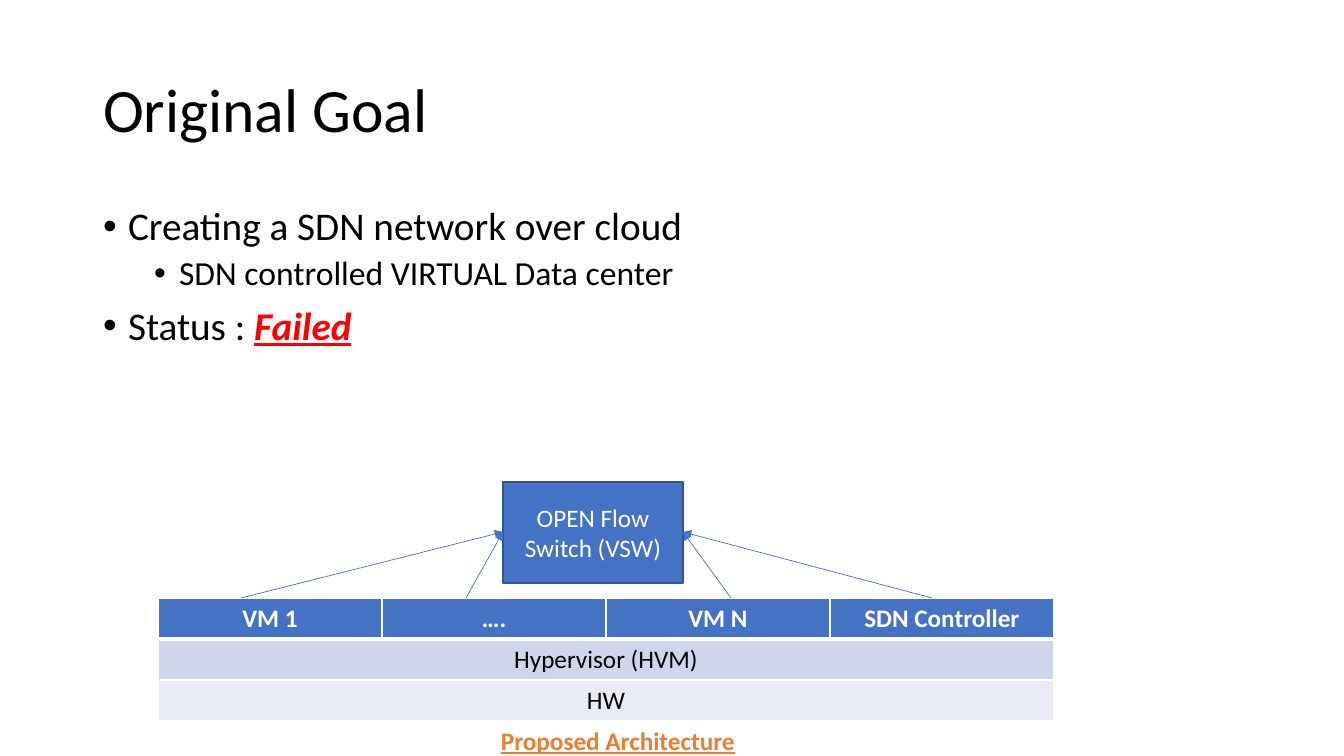
"""Build the Original Goal slide with its proposed SDN architecture."""
from lxml import etree
from pptx import Presentation
from pptx.dml.color import RGBColor
from pptx.enum.shapes import MSO_CONNECTOR, MSO_SHAPE
from pptx.enum.text import MSO_ANCHOR, MSO_AUTO_SIZE, PP_ALIGN
from pptx.oxml.ns import qn
from pptx.util import Emu, Pt

STRAIGHT = MSO_CONNECTOR.STRAIGHT
RECTANGLE = MSO_SHAPE.RECTANGLE
MIDDLE, TOP = MSO_ANCHOR.MIDDLE, MSO_ANCHOR.TOP
LEFT, CENTER = PP_ALIGN.LEFT, PP_ALIGN.CENTER
NO_AUTOFIT = MSO_AUTO_SIZE.NONE

FONT = "Calibri"
EMU_PER_PIXEL = 914400 / 100.8
COLORS = {
    "text": "000000", "white": "FFFFFF", "failed": "FF0000", "blue": "4472C4",
    "outline": "325491", "hypervisor": "CFD5EA", "hardware": "E9EBF5", "caption": "ED7D31",
}

TITLE = "Original Goal"
BULLETS = [
    (0, [("Creating a SDN network over cloud", {})]),
    (1, [("SDN controlled VIRTUAL Data center", {})]),
    (0, [("Status : ", {}),
         ("Failed", {"color": "failed", "bold": True, "italic": True, "underline": True})]),
]
LEVELS = [
    {"size": 28, "before": 10, "margin": 25},
    {"size": 24, "before": 5, "margin": 76},
]
HANGING = 25
MACHINES = ["VM 1", "….", "VM N", "SDN Controller"]
LAYERS = [("Hypervisor (HVM)", "hypervisor"), ("HW", "hardware")]
SWITCH = "OPEN Flow Switch (VSW)"
CAPTION = "Proposed Architecture"

TITLE_BOX = (93, 40, 1159, 146)
BODY_BOX = (93, 202, 1159, 480)
TABLE_LEFT, TABLE_TOP, COLUMN_WIDTH, ROW_HEIGHT = 158, 598, 224, 41
SWITCH_BOX = (503, 482, 180, 101)
CAPTION_BOX = (491, 720, 423, 40)
LINK_STARTS = [241, 466, 731, 932]
LINK_END_TOP = 532


def px(value):
    return Emu(round(value * EMU_PER_PIXEL))


def box(values):
    return [px(value) for value in values]


def rgb(name):
    return RGBColor.from_string(COLORS[name])


def place(shape, values):
    shape.left, shape.top, shape.width, shape.height = box(values)


def add_run(paragraph, text, size, color="text", bold=False, italic=False, underline=False):
    run = paragraph.add_run()
    run.text = text
    font = run.font
    font.name, font.size = FONT, Pt(size)
    font.bold, font.italic, font.underline = bold, italic, underline
    font.color.rgb = rgb(color)


def format_bullet(paragraph, level):
    style = LEVELS[level]
    paragraph.level = level
    paragraph.line_spacing = 0.9
    paragraph.space_before = Pt(style["before"])
    properties = paragraph._p.get_or_add_pPr()
    properties.set("marL", str(px(style["margin"])))
    properties.set("indent", str(-px(HANGING)))
    etree.SubElement(properties, qn("a:buFont"), typeface="Arial")
    etree.SubElement(properties, qn("a:buChar"), char="•")


def fill_cell(cell, text, fill, color, bold, bottom_width):
    paragraph = cell.text_frame.paragraphs[0]
    paragraph.alignment = CENTER
    add_run(paragraph, text, 18, color, bold)
    properties = cell._tc.get_or_add_tcPr()
    for side, width in zip("LRTB", (1, 1, 1, bottom_width)):
        border = etree.SubElement(properties, qn(f"a:ln{side}"), w=str(Pt(width)))
        solid = etree.SubElement(border, qn("a:solidFill"))
        etree.SubElement(solid, qn("a:srgbClr"), val=COLORS["white"])
    cell.fill.solid()
    cell.fill.fore_color.rgb = rgb(fill)


def add_link(slide, start, end):
    link = slide.shapes.add_connector(STRAIGHT, *box(start + end))
    link.line.color.rgb = rgb("blue")
    link.line.width = Pt(0.5)
    etree.SubElement(link.line._get_or_add_ln(), qn("a:tailEnd"), type="triangle")
    etree.SubElement(link._element.spPr, qn("a:effectLst"))


presentation = Presentation()
presentation.slide_width, presentation.slide_height = px(1344), px(756)
slide = presentation.slides.add_slide(presentation.slide_layouts[1])

title, body = slide.placeholders
for placeholder, bounds, anchor in ((title, TITLE_BOX, MIDDLE), (body, BODY_BOX, TOP)):
    place(placeholder, bounds)
    placeholder.text_frame.auto_size = NO_AUTOFIT
    placeholder.text_frame.vertical_anchor = anchor

paragraph = title.text_frame.paragraphs[0]
paragraph.alignment = LEFT
paragraph.line_spacing = 0.9
add_run(paragraph, TITLE, 44)

for index, (level, runs) in enumerate(BULLETS):
    frame = body.text_frame
    paragraph = frame.add_paragraph() if index else frame.paragraphs[0]
    format_bullet(paragraph, level)
    for text, style in runs:
        add_run(paragraph, text, LEVELS[level]["size"], **style)

column_count, row_count = len(MACHINES), len(LAYERS) + 1
table_box = (TABLE_LEFT, TABLE_TOP, COLUMN_WIDTH * column_count, ROW_HEIGHT * row_count)
table = slide.shapes.add_table(row_count, column_count, *box(table_box)).table
for column in table.columns:
    column.width = px(COLUMN_WIDTH)
for row in table.rows:
    row.height = px(ROW_HEIGHT)
for index, machine in enumerate(MACHINES):
    fill_cell(table.cell(0, index), machine, "blue", "white", True, 3)
for row, (layer, fill) in enumerate(LAYERS, 1):
    table.cell(row, 0).merge(table.cell(row, column_count - 1))
    fill_cell(table.cell(row, 0), layer, fill, "text", False, 1)

switch = slide.shapes.add_shape(RECTANGLE, *box(SWITCH_BOX))
switch.shadow.inherit = False
switch.fill.solid()
switch.fill.fore_color.rgb = rgb("blue")
switch.line.color.rgb = rgb("outline")
switch.line.width = Pt(1)
switch.text_frame.word_wrap = True
switch.text_frame.vertical_anchor = MIDDLE
paragraph = switch.text_frame.paragraphs[0]
paragraph.alignment = CENTER
add_run(paragraph, SWITCH, 18, "white")

switch_left, switch_right = SWITCH_BOX[0], SWITCH_BOX[0] + SWITCH_BOX[2]
for start in LINK_STARTS:
    end = switch_left if start < switch_left else switch_right
    add_link(slide, (start, TABLE_TOP), (end, LINK_END_TOP))

caption = slide.shapes.add_textbox(*box(CAPTION_BOX))
caption.text_frame.word_wrap = True
add_run(caption.text_frame.paragraphs[0], CAPTION, 18, "caption", bold=True, underline=True)

presentation.save("out.pptx")
